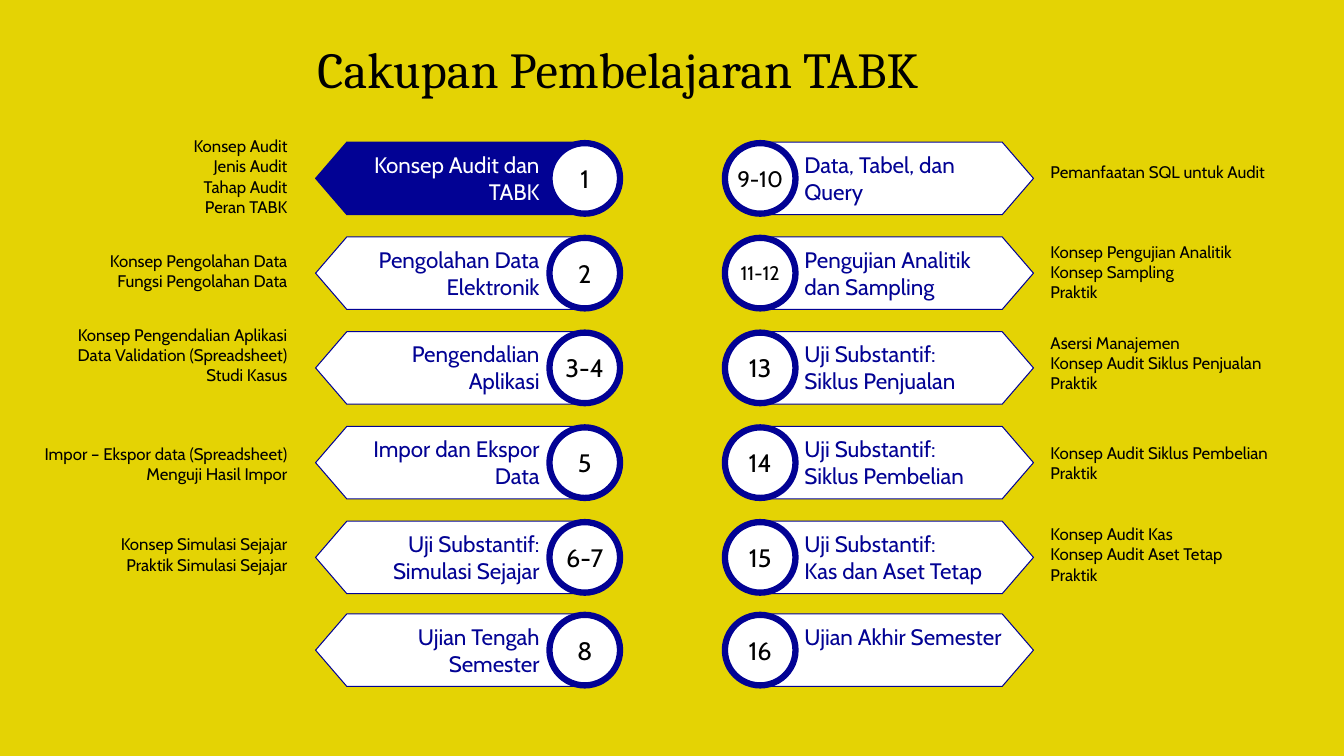
from dataclasses import dataclass
from pptx import Presentation
from pptx import util as u
from pptx.dml.color import RGBColor
from pptx.enum import shapes, text

YELLOW, NAVY, WHITE, BLACK = "E4D304", "020294", "FFFFFF", "000000"
ROW_TOPS = (1.41, 2.35, 3.29, 4.23, 5.17, 6.09)
BANNER_W, BANNER_H, BANNER_TIP = 3.01, 0.72, 0.31
CIRCLE = 0.7
LABEL_W, LABEL_H = 2.19, 0.64
NOTE_W = 2.89


@dataclass
class Meeting:
    number: str
    topic: str
    details: str = ""
    details_top: float = 0
    number_size: int = 18
    current: bool = False


@dataclass
class Column:
    banner_left: float
    circle_left: float
    label_left: float
    note_left: float
    align: text.PP_ALIGN
    meetings: list[Meeting]


FIRST_HALF = Column(3.13, 5.45, 3.26, 0.06, text.PP_ALIGN.RIGHT, [
    Meeting("1", "Konsep Audit dan TABK",
            "Konsep Audit\nJenis Audit\nTahap Audit\nPeran TABK", 1.3, current=True),
    Meeting("2", "Pengolahan Data Elektronik",
            "Konsep Pengolahan Data\nFungsi Pengolahan Data", 2.44),
    Meeting("3-4", "Pengendalian Aplikasi",
            "Konsep Pengendalian Aplikasi\nData Validation (Spreadsheet)\nStudi Kasus", 3.17),
    Meeting("5", "Impor dan Ekspor Data",
            "Impor – Ekspor data (Spreadsheet)\nMenguji Hasil Impor", 4.35),
    Meeting("6-7", "Uji Substantif:\nSimulasi Sejajar",
            "Konsep Simulasi Sejajar\nPraktik Simulasi Sejajar", 5.25),
    Meeting("8", "Ujian Tengah Semester"),
])
SECOND_HALF = Column(7.24, 7.19, 7.88, 10.32, text.PP_ALIGN.LEFT, [
    Meeting("9-10", "Data, Tabel, dan Query", "Pemanfaatan SQL untuk Audit", 1.56, 16),
    Meeting("11-12", "Pengujian Analitik dan Sampling",
            "Konsep Pengujian Analitik\nKonsep Sampling\nPraktik", 2.35, 14),
    Meeting("13", "Uji Substantif:\nSiklus Penjualan",
            "Asersi Manajemen\nKonsep Audit Siklus Penjualan\nPraktik", 3.25),
    Meeting("14", "Uji Substantif:\nSiklus Pembelian",
            "Konsep Audit Siklus Pembelian\nPraktik", 4.34),
    Meeting("15", "Uji Substantif:\nKas dan Aset Tetap",
            "Konsep Audit Kas\nKonsep Audit Aset Tetap\nPraktik", 5.15),
    Meeting("16", "Ujian Akhir Semester"),
])


def rgb(value: str) -> RGBColor:
    return RGBColor.from_string(value)


def write(frame, words: str, size: int, color: str, align: text.PP_ALIGN,
          font: str = "Cabin") -> None:
    frame.text = words
    for paragraph in frame.paragraphs:
        paragraph.alignment = align
        for name, value in {"name": font, "size": u.Pt(size)}.items():
            setattr(paragraph.font, name, value)
        paragraph.font.color.rgb = rgb(color)


def add_text(slide, left: float, top: float, width: float, height: float,
             words: str, size: int, color: str, align: text.PP_ALIGN,
             font: str = "Cabin") -> None:
    frame = slide.shapes.add_textbox(*map(u.Inches, (left, top, width, height))).text_frame
    frame.word_wrap = True
    write(frame, words, size, color, align, font)


def add_outlined(slide, preset: shapes.MSO_SHAPE, left: float, top: float,
                 width: float, height: float, fill: str, line_width: float):
    """Add a filled shape with a navy outline."""
    shape = slide.shapes.add_shape(preset, *map(u.Inches, (left, top, width, height)))
    shape.shadow.inherit = False
    shape.fill.solid()
    shape.fill.fore_color.rgb = rgb(fill)
    shape.line.color.rgb = rgb(NAVY)
    shape.line.width = u.Pt(line_width)
    return shape


def add_meeting(slide, column: Column, meeting: Meeting, top: float) -> None:
    banner_fill, topic_color = (NAVY, WHITE) if meeting.current else (WHITE, NAVY)
    banner = add_outlined(slide, shapes.MSO_SHAPE.HEXAGON, column.banner_left, top,
                          BANNER_W, BANNER_H, banner_fill, 0.75)
    banner.adjustments[0] = BANNER_TIP / BANNER_H

    circle = add_outlined(slide, shapes.MSO_SHAPE.OVAL, column.circle_left,
                          top + (BANNER_H - CIRCLE) / 2, CIRCLE, CIRCLE, WHITE, 4.5)
    number = circle.text_frame
    number_format = {"margin_left": 0, "margin_right": 0, "word_wrap": False,
                     "vertical_anchor": text.MSO_ANCHOR.MIDDLE}
    for name, value in number_format.items():
        setattr(number, name, value)
    write(number, meeting.number, meeting.number_size, BLACK, text.PP_ALIGN.CENTER)

    add_text(slide, column.label_left, top + (BANNER_H - LABEL_H) / 2, LABEL_W, LABEL_H,
             meeting.topic, 16, topic_color, column.align)
    if meeting.details:
        lines = meeting.details.count("\n") + 1
        add_text(slide, column.note_left, meeting.details_top, NOTE_W, 0.1 + 0.2 * lines,
                 meeting.details, 12, BLACK, column.align)


def main() -> None:
    deck = Presentation()
    deck.slide_width, deck.slide_height = u.Inches(13.33), u.Inches(7.5)
    slide = deck.slides.add_slide(deck.slide_layouts[6])
    slide.background.fill.solid()
    slide.background.fill.fore_color.rgb = rgb(YELLOW)

    add_text(slide, 3.05, 0.33, 7.2, 0.71, "Cakupan Pembelajaran TABK", 36, BLACK,
             text.PP_ALIGN.LEFT, "Cambria")
    for column in (FIRST_HALF, SECOND_HALF):
        for meeting, top in zip(column.meetings, ROW_TOPS):
            add_meeting(slide, column, meeting, top)
    deck.save("out.pptx")


if __name__ == "__main__":
    main()
